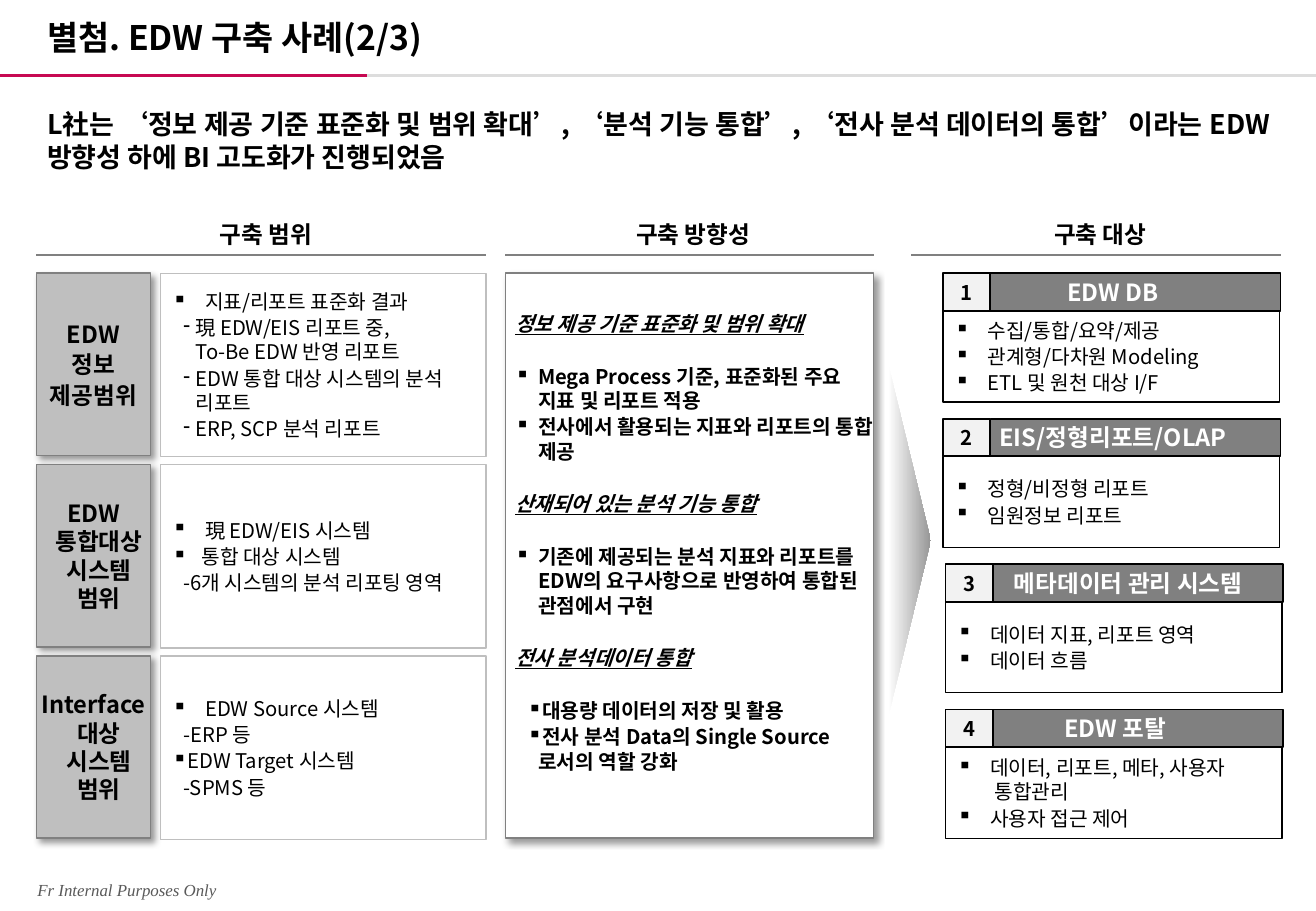
"""Build the EDW case slide: scope, direction and target columns."""
from dataclasses import dataclass, replace

from lxml import etree
from pptx import Presentation
from pptx.dml.color import RGBColor
from pptx.enum.shapes import MSO_CONNECTOR, MSO_SHAPE
from pptx.enum.text import MSO_ANCHOR, PP_ALIGN
from pptx.oxml.ns import qn
from pptx.util import Inches, Pt

STRAIGHT = MSO_CONNECTOR.STRAIGHT
RECTANGLE, PENTAGON = MSO_SHAPE.RECTANGLE, MSO_SHAPE.PENTAGON
TOP, MIDDLE, BOTTOM = MSO_ANCHOR.TOP, MSO_ANCHOR.MIDDLE, MSO_ANCHOR.BOTTOM
LEFT, CENTER, JUSTIFY = PP_ALIGN.LEFT, PP_ALIGN.CENTER, PP_ALIGN.JUSTIFY


@dataclass(frozen=True)
class Theme:
    font: str = "Noto Sans CJK KR"
    footer_font: str = "Times New Roman"
    black: str = "000000"
    white: str = "FFFFFF"
    accent: str = "C70952"
    rule: str = "DDDDDD"
    gray: str = "808080"
    light: str = "BFBFBF"
    pale: str = "F2F2F2"
    arrow: str = "969696"
    footer: str = "595959"
    title_size: float = 20
    headline_size: float = 16
    heading_size: float = 14
    body_size: float = 12
    footer_size: float = 10


@dataclass(frozen=True)
class Line:
    text: str
    margin: float = 0
    indent: float = 0
    bullet: str = ""
    heading: bool = False
    before: float = 0.6


@dataclass(frozen=True)
class Box:
    left: float
    top: float
    width: float
    height: float


@dataclass(frozen=True)
class Scope:
    label: list[Line]
    details: list[Line]


@dataclass(frozen=True)
class Target:
    title: str
    left: float
    items: list[Line]
    inset: float = 0.1


THEME = Theme()
BLANK_LINE = 16.2
STANDARD_INSETS = (0.1, 0.05, 0.1, 0.05)


def item(text: str, hang: float = 0.27) -> Line:
    """Return a line with a square bullet."""
    return Line(text, hang, -hang, "▪")


def dash(text: str, bullet: str = "-") -> Line:
    """Return a second-level line."""
    return Line(text, 0.19, -0.1, bullet)


def label(text: str) -> Line:
    """Return a line of a scope label."""
    return Line(text, 0.09, -0.09)


def section(heading: str, lines: list[Line], before: float = BLANK_LINE) -> list[Line]:
    """Return an underlined heading followed by its spaced lines."""
    first = replace(lines[0], before=BLANK_LINE)
    return [Line(heading, heading=True, before=before), first, *lines[1:]]


COLUMNS = [("구축 범위", 0.3, 4.0, 0.08), ("구축 방향성", 4.16, 7.19, 0.06), ("구축 대상", 7.5, 10.54, 0.07)]
SCOPES = [
    Scope([label("EDW"), label("정보"), label("제공범위")],
          [item("지표/리포트 표준화 결과"), dash("現 EDW/EIS 리포트 중, \vTo-Be EDW 반영 리포트"),
           dash("EDW 통합 대상 시스템의 분석 리포트"), dash("ERP, SCP 분석 리포트")]),
    Scope([label("EDW 통합대상 시스템 범위")],
          [item("現 EDW/EIS 시스템"), item("통합 대상 시스템", 0.24),
           dash("-6개 시스템의 분석 리포팅 영역", "")]),
    Scope([label("Interface대상 시스템 범위")],
          [item("EDW Source 시스템"), dash("-ERP 등", ""),
           item("EDW Target 시스템", 0.1), dash("-SPMS 등", "")]),
]
DIRECTIONS = [
    *section("정보 제공 기준 표준화 및 범위 확대",
             [item("Mega Process 기준, 표준화된 주요 지표 및 리포트 적용", 0.19),
              item("전사에서 활용되는 지표와 리포트의 통합 제공", 0.19)], 0.6),
    *section("산재되어 있는 분석 기능 통합",
             [item("기존에 제공되는 분석 지표와 리포트를 EDW의 요구사항으로 반영하여 통합된 관점에서 구현", 0.19)]),
    *section("전사 분석데이터 통합",
             [Line("대용량 데이터의 저장 및 활용", 0.19, -0.09, "▪"),
              Line("전사 분석 Data의 Single Source로서의 역할 강화", 0.19, -0.09, "▪")]),
]
TARGETS = [
    Target("EDW DB", 7.76, [item("수집/통합/요약/제공"), item("관계형/다차원 Modeling"),
                            item("ETL 및 원천 대상 I/F")]),
    Target("EIS/정형리포트/OLAP", 7.76, [item("정형/비정형 리포트"), item("임원정보 리포트")]),
    Target("메타데이터 관리 시스템", 7.78, [item("데이터 지표, 리포트 영역"), item("데이터 흐름")], 0.31),
    Target("EDW 포탈", 7.78, [item("데이터, 리포트, 메타, 사용자 \v 통합관리"), item("사용자 접근 제어")]),
]


def write(shape, lines: list[Line], *, size: float = THEME.body_size, color: str = THEME.black,
          bold: bool = False, italic: bool = False, font: str = THEME.font, align=LEFT,
          anchor=MIDDLE, insets: tuple = STANDARD_INSETS) -> None:
    """Fill a shape with formatted paragraphs."""
    frame = shape.text_frame
    frame.word_wrap = True
    frame.vertical_anchor = anchor
    frame.margin_left, frame.margin_top, frame.margin_right, frame.margin_bottom = map(Inches, insets)
    for index, line in enumerate(lines):
        paragraph = frame.add_paragraph() if index else frame.paragraphs[0]
        paragraph.text = line.text
        paragraph.alignment = align
        paragraph.line_spacing = Pt(size * 1.2)
        paragraph.space_before = Pt(line.before if index else 0)
        paragraph.space_after = Pt(0.6)
        properties = paragraph._p.get_or_add_pPr()
        properties.set("marL", str(Inches(line.margin)))
        properties.set("indent", str(Inches(line.indent)))
        if line.bullet:
            etree.SubElement(properties, qn("a:buChar"), char=line.bullet)
        for run in paragraph.runs:
            run.font.size, run.font.bold, run.font.name = Pt(size), bold, font
            run.font.italic = italic or line.heading
            run.font.underline = line.heading
            run.font.color.rgb = RGBColor.from_string(color)
            etree.SubElement(run._r.get_or_add_rPr(), qn("a:ea"), typeface=font)


def add_text(slide, box: Box, text: str, **formatting) -> None:
    """Add a text box holding one paragraph."""
    shape = slide.shapes.add_textbox(*map(Inches, (box.left, box.top, box.width, box.height)))
    write(shape, [Line(text)], **formatting)


def add_box(slide, box: Box, *, kind=RECTANGLE, fill: str = "", line: str = "",
            weight: float = 1, shadow: bool = False):
    """Add a preset shape with an optional fill, line and shadow."""
    shape = slide.shapes.add_shape(kind, *map(Inches, (box.left, box.top, box.width, box.height)))
    shape.shadow.inherit = False
    if fill:
        shape.fill.solid()
        shape.fill.fore_color.rgb = RGBColor.from_string(fill)
    else:
        shape.fill.background()
    if line:
        shape.line.color.rgb = RGBColor.from_string(line)
        shape.line.width = Pt(weight)
    else:
        shape.line.fill.background()
    if shadow:
        effects = shape._element.spPr.find(qn("a:effectLst"))
        outer = etree.SubElement(effects, qn("a:outerShdw"), blurRad=str(Pt(4)), dist=str(Pt(3)),
                                 dir="2700000", algn="tl", rotWithShape="0")
        tint = etree.SubElement(outer, qn("a:srgbClr"), val=THEME.black)
        etree.SubElement(tint, qn("a:alpha"), val="40000")
    return shape


def add_rule(slide, start: float, end: float, top: float, color: str) -> None:
    """Add a horizontal line."""
    rule = slide.shapes.add_connector(STRAIGHT, *map(Inches, (start, top, end, top)))
    rule.line.color.rgb = RGBColor.from_string(color)
    rule.line.width = Pt(1.5)
    etree.SubElement(rule._element.spPr, qn("a:effectLst"))


def add_frame(slide) -> None:
    """Add the title, headline, footer and column headings."""
    add_text(slide, Box(0.21, 7.19, 2.68, 0.27), "Fr Internal Purposes Only", italic=True,
             size=THEME.footer_size, color=THEME.footer, font=THEME.footer_font)
    add_rule(slide, 0, 3.02, 0.62, THEME.accent)
    add_rule(slide, 3.02, 10.83, 0.62, THEME.rule)
    add_text(slide, Box(0.29, 0.07, 5.92, 0.45), "별첨. EDW 구축 사례(2/3)", bold=True,
             size=THEME.title_size, align=JUSTIFY, anchor=BOTTOM)
    add_text(slide, Box(0.29, 0.84, 10.26, 0.67),
             "L社는 ‘정보 제공 기준 표준화 및 범위 확대’, ‘분석 기능 통합’, ‘전사 분석 데이터의 통합’이라는 "
             "EDW 방향성 하에 BI 고도화가 진행되었음",
             bold=True, size=THEME.headline_size, align=JUSTIFY, anchor=TOP)
    for heading, start, end, offset in COLUMNS:
        add_rule(slide, start, end, 2.1, THEME.gray)
        add_text(slide, Box(start + offset, 1.81, end - start - offset, 0.24), heading, bold=True,
                 size=THEME.heading_size, align=CENTER, insets=(0, 0, 0, 0))


def add_scope(slide, scope: Scope, top: float) -> None:
    """Add a scope label and its details."""
    shape = add_box(slide, Box(0.3, top, 0.94, 1.5), fill=THEME.light, line=THEME.gray, shadow=True)
    write(shape, scope.label, size=THEME.heading_size, bold=True, align=CENTER, insets=(0, 0.05, 0, 0.05))
    details = add_box(slide, Box(1.32, top, 2.68, 1.51), line=THEME.light, weight=0.75)
    write(details, scope.details)


def add_direction(slide) -> None:
    """Add the direction panel and the arrow to the targets."""
    panel = add_box(slide, Box(4.16, 2.25, 3.03, 4.65), fill=THEME.white, line=THEME.gray, shadow=True)
    write(panel, DIRECTIONS, bold=True, insets=(0.08, 0.05, 0, 0.27))
    arrow = add_box(slide, Box(7.31, 3, 0.35, 2.9), kind=PENTAGON)
    arrow.adjustments[0] = 1
    arrow.fill.gradient()
    arrow.fill.gradient_angle = 0
    for stop, color in zip(arrow.fill.gradient_stops, (THEME.white, THEME.arrow)):
        stop.color.rgb = RGBColor.from_string(color)


def add_target(slide, target: Target, number: int, top: float) -> None:
    """Add a numbered target card."""
    header = add_box(slide, Box(target.left + 0.02, top, 2.76, 0.31), fill=THEME.gray, line=THEME.black)
    write(header, [Line(target.title)], size=THEME.heading_size, color=THEME.white, bold=True,
          align=CENTER, insets=(target.inset, 0.05, 0.1, 0.05))
    badge = add_box(slide, Box(target.left, top, 0.39, 0.31), fill=THEME.pale, line=THEME.black)
    write(badge, [Line(str(number))], bold=True, align=CENTER)
    body = add_box(slide, Box(target.left, top + 0.31, 2.77, 0.75), line=THEME.black, weight=0.75)
    write(body, target.items)


def main() -> None:
    """Build and save the slide."""
    presentation = Presentation()
    presentation.slide_width, presentation.slide_height = Inches(10.83), Inches(7.5)
    slide = presentation.slides.add_slide(presentation.slide_layouts[6])
    add_frame(slide)
    for index, scope in enumerate(SCOPES):
        add_scope(slide, scope, 2.25 + index * 1.575)
    add_direction(slide)
    for index, target in enumerate(TARGETS):
        add_target(slide, target, index + 1, 2.25 + index * 1.197)
    presentation.save("out.pptx")


if __name__ == "__main__":
    main()
